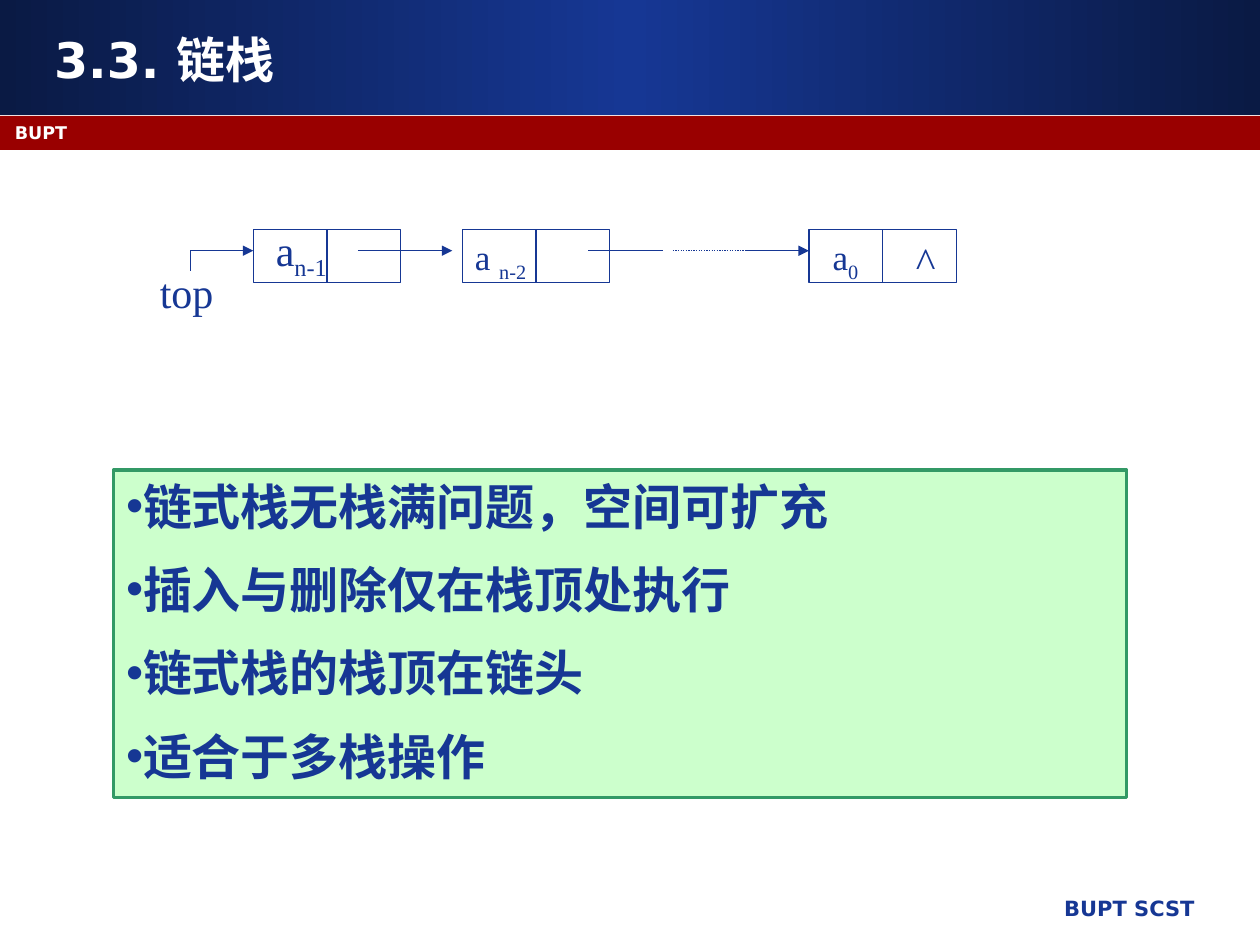
from copy import deepcopy

from lxml.etree import SubElement
from pptx import Presentation
from pptx.dml.color import RGBColor
from pptx.enum.dml import MSO_LINE as Dash
from pptx.enum.shapes import MSO_CONNECTOR as Connector, MSO_SHAPE as Shape
from pptx.enum.text import MSO_ANCHOR as Anchor, MSO_AUTO_SIZE as AutoSize, PP_ALIGN as Align
from pptx.oxml.ns import qn
from pptx.util import Inches, Pt

SANS, SERIF = "DejaVu Sans", "Times New Roman"
BLUE, NAVY, RED, WHITE = "163794", "0A1A44", "990000", "FFFFFF"
MINT, GREEN = "CCFFCC", "339966"


def color(value):
    return RGBColor.from_string(value)


def write(para, text, sub="", font=SERIF, size=24, ink=BLUE, bold=False, align=Align.LEFT):
    """Fill a paragraph with text and an optional subscript."""
    para.alignment = align
    for part, offset in ((text, None), (sub, "-25000")):
        if not part:
            continue
        span = para.add_run()
        span.text = part
        span.font.name, span.font.size, span.font.bold = font, Pt(size), bold
        span.font.color.rgb = color(ink)
        if offset:
            span.font._element.set("baseline", offset)


class Slide:
    """Holds the line style and the page being drawn."""

    def __init__(self, page, line_color=BLUE, line_width=0.75):
        self.page = page
        self.line_color, self.line_width = line_color, line_width

    def rect(self, left, top, width, height, fill=None):
        box = self.page.shapes.add_shape(
            Shape.RECTANGLE, Inches(left), Inches(top), Inches(width), Inches(height))
        box.shadow.inherit = False
        if fill:
            box.fill.solid()
            box.fill.fore_color.rgb = color(fill)
            box.line.fill.background()
        else:
            box.fill.background()
            box.line.color.rgb = color(self.line_color)
            box.line.width = Pt(self.line_width)
        return box

    def gradient_bar(self, left, top, width, height, stops):
        bar = self.rect(left, top, width, height, stops[0])
        bar.fill.gradient()
        bar.fill.gradient_angle = 0
        stop_list = bar._element.spPr.find(".//" + qn("a:gsLst"))
        stop_list.append(deepcopy(stop_list[0]))
        for index, (stop, value) in enumerate(zip(bar.fill.gradient_stops, stops)):
            stop.position = index / (len(stops) - 1)
            stop.color.rgb = color(value)

    def line(self, x1, y1, x2, y2, arrow=False, dash=None):
        link = self.page.shapes.add_connector(
            Connector.STRAIGHT, Inches(x1), Inches(y1), Inches(x2), Inches(y2))
        link.line.color.rgb = color(self.line_color)
        link.line.width = Pt(self.line_width)
        if dash:
            link.line.dash_style = dash
        if arrow:
            SubElement(link.line._get_or_add_ln(), qn("a:tailEnd"), type="triangle")
        SubElement(link._element.spPr, qn("a:effectLst"))

    def label(self, left, top, width, height, text, wrap=True, **style):
        box = self.page.shapes.add_textbox(
            Inches(left), Inches(top), Inches(width), Inches(height))
        box.text_frame.word_wrap = wrap
        write(box.text_frame.paragraphs[0], text, **style)

    def placeholder(self, index, left, top, width, height, anchor):
        """Move a template placeholder and bring it to the front."""
        box = self.page.placeholders[index]
        box.left, box.top = Inches(left), Inches(top)
        box.width, box.height = Inches(width), Inches(height)
        box.text_frame.vertical_anchor = anchor
        box.text_frame.auto_size = AutoSize.NONE
        self.page.shapes._spTree.append(box._element)
        return box

    def title(self, text, *place, **style):
        box = self.placeholder(0, *place, Anchor.MIDDLE)
        write(box.text_frame.paragraphs[0], text, **style)

    def bullets(self, items, *place, fill, border, **style):
        box = self.placeholder(1, *place, Anchor.TOP)
        box.fill.solid()
        box.fill.fore_color.rgb = color(fill)
        box.line.color.rgb = color(border)
        box.line.width = Pt(2)
        frame = box.text_frame
        for index, item in enumerate(items):
            para = frame.add_paragraph() if index else frame.paragraphs[0]
            para.line_spacing = 1.0
            para.space_before = Pt(14 if index else 0)
            props = para._p.get_or_add_pPr()
            props.set("marL", "0")
            props.set("indent", "0")
            SubElement(props, qn("a:buChar"), char="•")
            write(para, item, **style)


def main():
    deck = Presentation()
    deck.slide_width, deck.slide_height = Inches(10), Inches(7.5)
    slide = Slide(deck.slides.add_slide(deck.slide_layouts[1]))

    # Header bars, title and school labels
    slide.gradient_bar(0, 0, 10, 0.91, (NAVY, BLUE, NAVY))
    slide.rect(0, 0.92, 10, 0.27, RED)
    slide.label(4.21, 7.06, 5.37, 0.35, "BUPT SCST", font=SANS, size=12, bold=True,
                align=Align.RIGHT)
    slide.label(0.02, 0.92, 9.25, 0.25, "BUPT", font=SANS, size=10, ink=WHITE, bold=True)
    slide.title("3.3. 链栈", 0.33, 0.16, 9.25, 0.62, font=SANS, size=28, ink=WHITE, bold=True)

    # Linked nodes, each split into data and pointer
    node_top, node_width, node_height = 1.82, 1.17, 0.42
    for left in (2.01, 3.67, 6.42):
        middle = left + node_width / 2
        slide.rect(left, node_top, node_width, node_height)
        slide.line(middle, node_top, middle, node_top + node_height)

    # Pointers between the nodes
    link_y = 1.99
    for start, end, arrow, dash in (
            (1.51, 2.01, True, None), (2.84, 3.59, True, None), (4.67, 5.26, False, None),
            (5.34, 6.09, False, Dash.ROUND_DOT), (5.92, 6.42, True, None)):
        slide.line(start, link_y, end, link_y, arrow, dash)
    slide.line(1.51, link_y, 1.51, 2.15)

    # Node labels
    slide.label(1.17, 2.07, 0.92, 0.5, "top")
    slide.label(7.17, 1.82, 0.58, 0.5, "^")
    slide.label(6.51, 1.82, 0.5, 0.43, "a", sub="0", size=20)
    slide.label(3.67, 1.82, 0.75, 0.43, "a ", sub="n-2", size=20)
    slide.label(2.09, 1.73, 0.65, 0.5, "a", sub="n-1", wrap=False)

    # Properties of the linked stack
    slide.bullets(
        ("链式栈无栈满问题，空间可扩充", "插入与删除仅在栈顶处执行", "链式栈的栈顶在链头", "适合于多栈操作"),
        0.9, 3.73, 8.04, 2.6, fill=MINT, border=GREEN, size=28, bold=True)

    deck.save("out.pptx")


if __name__ == "__main__":
    main()
